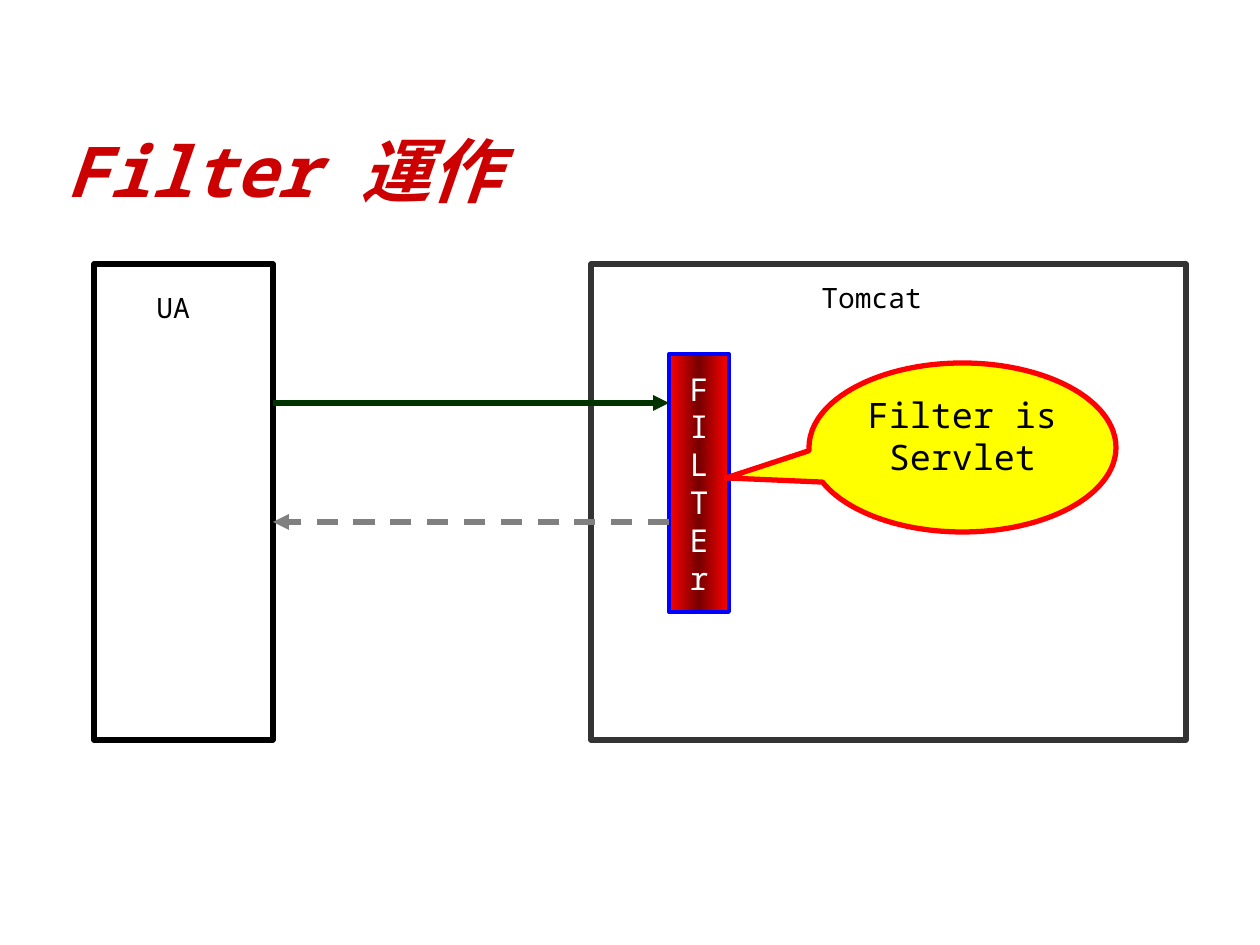
from copy import deepcopy
from typing import NamedTuple, Optional

from lxml import etree
from pptx import Presentation
from pptx.dml.color import RGBColor
from pptx.enum.dml import MSO_LINE
from pptx.enum.shapes import MSO_CONNECTOR, MSO_SHAPE
from pptx.enum.text import MSO_ANCHOR, MSO_AUTO_SIZE, PP_ALIGN
from pptx.oxml.ns import qn
from pptx.util import Pt

PX = 914400 / 126
FONT = "Noto Sans Mono"
RECT, CALLOUT = MSO_SHAPE.RECTANGLE, MSO_SHAPE.OVAL_CALLOUT
STRAIGHT, DASH = MSO_CONNECTOR.STRAIGHT, MSO_LINE.DASH
TOP, MIDDLE = MSO_ANCHOR.TOP, MSO_ANCHOR.MIDDLE
LEFT, CENTER = PP_ALIGN.LEFT, PP_ALIGN.CENTER
GROW = MSO_AUTO_SIZE.SHAPE_TO_FIT_TEXT


class Box(NamedTuple):
    left: int
    top: int
    width: int
    height: int


class Arrow(NamedTuple):
    start_x: int
    end_x: int
    y: int
    color: str
    dashed: bool


class Label(NamedTuple):
    text: str
    box: Box


def px(value: int) -> int:
    return round(value * PX)


def rgb(color: str) -> RGBColor:
    return RGBColor.from_string(color)


def write(shape, lines: list, size: int, color: str, align=LEFT, anchor=TOP,
          wrap: bool = True, emphasis: Optional[bool] = None) -> None:
    frame = shape.text_frame
    frame.word_wrap = wrap
    frame.vertical_anchor = anchor
    frame.text = "\n".join(lines)
    for paragraph in frame.paragraphs:
        paragraph.alignment = align
        font = paragraph.font
        font.name, font.size = FONT, Pt(size)
        font.bold = font.italic = emphasis
        font.color.rgb = rgb(color)


def add_outlined(slide, kind, box: Box, line: str, width: float = 3,
                 fill: Optional[str] = None):
    shape = slide.shapes.add_shape(kind, *map(px, box))
    shape.shadow.inherit = False
    shape.line.color.rgb = rgb(line)
    shape.line.width = Pt(width)
    if fill:
        shape.fill.solid()
        shape.fill.fore_color.rgb = rgb(fill)
    else:
        shape.fill.background()
    return shape


def add_text(slide, box: Box):
    return slide.shapes.add_textbox(*map(px, box))


def set_gradient(shape, colors: list) -> None:
    shape.fill.gradient()
    shape.fill.gradient_angle = 0
    stop_list = shape._element.spPr.find(".//" + qn("a:gsLst"))
    while len(stop_list) < len(colors):
        stop_list.append(deepcopy(stop_list[0]))
    for index, (stop, color) in enumerate(zip(shape.fill.gradient_stops, colors)):
        stop.position = index / (len(colors) - 1)
        stop.color.rgb = rgb(color)


def add_arrow(slide, arrow: Arrow) -> None:
    y = px(arrow.y)
    connector = slide.shapes.add_connector(
        STRAIGHT, px(arrow.start_x), y, px(arrow.end_x), y)
    connector.line.color.rgb = rgb(arrow.color)
    connector.line.width = Pt(3)
    if arrow.dashed:
        connector.line.dash_style = DASH
    properties = connector._element.spPr
    etree.SubElement(properties.find(qn("a:ln")), qn("a:tailEnd"), type="triangle")
    etree.SubElement(properties, qn("a:effectLst"))


SERVER = Box(591, 264, 595, 476)
BROWSER = Box(94, 264, 179, 476)
FILTER = Box(669, 354, 60, 258)
NOTE = Box(809, 363, 307, 169)
BROWSER_EDGE = BROWSER.left + BROWSER.width

LABELS = [
    Label("UA", Box(144, 284, 72, 63)),
    Label("Tomcat", Box(809, 274, 165, 63)),
]
ARROWS = [
    Arrow(BROWSER_EDGE, FILTER.left, 403, "003300", False),
    Arrow(FILTER.left, BROWSER_EDGE, 522, "808080", True),
]


def main() -> None:
    presentation = Presentation()
    presentation.slide_width, presentation.slide_height = px(1260), px(945)
    slide = presentation.slides.add_slide(presentation.slide_layouts[6])

    # Title
    title = add_text(slide, Box(54, 115, 1134, 110))
    write(title, ["Filter 運作"], 40, "CC0000", anchor=MIDDLE, emphasis=True)

    # Server and browser frames with their labels
    add_outlined(slide, RECT, SERVER, "333333")
    add_outlined(slide, RECT, BROWSER, "000000")
    for label in LABELS:
        caption = add_text(slide, label.box)
        write(caption, [label.text], 16, "000000", wrap=False)
        caption.text_frame.auto_size = GROW

    # Filter column, one letter a line
    filter_bar = add_outlined(slide, RECT, FILTER, "0000FF", 2.25)
    set_gradient(filter_bar, ["FF0000", "760000", "FF0000"])
    write(filter_bar, list("FILTEr"), 18, "FFFFFF", CENTER, MIDDLE, wrap=False)

    # Request and response
    for arrow in ARROWS:
        add_arrow(slide, arrow)

    # Callout pointing at the filter
    note = add_outlined(slide, CALLOUT, NOTE, "FF0000", fill="FFFF00")
    note.adjustments[0], note.adjustments[1] = -0.77, 0.18
    write(note, ["Filter is Servlet"], 20, "000000", CENTER)

    presentation.save("out.pptx")


if __name__ == "__main__":
    main()
